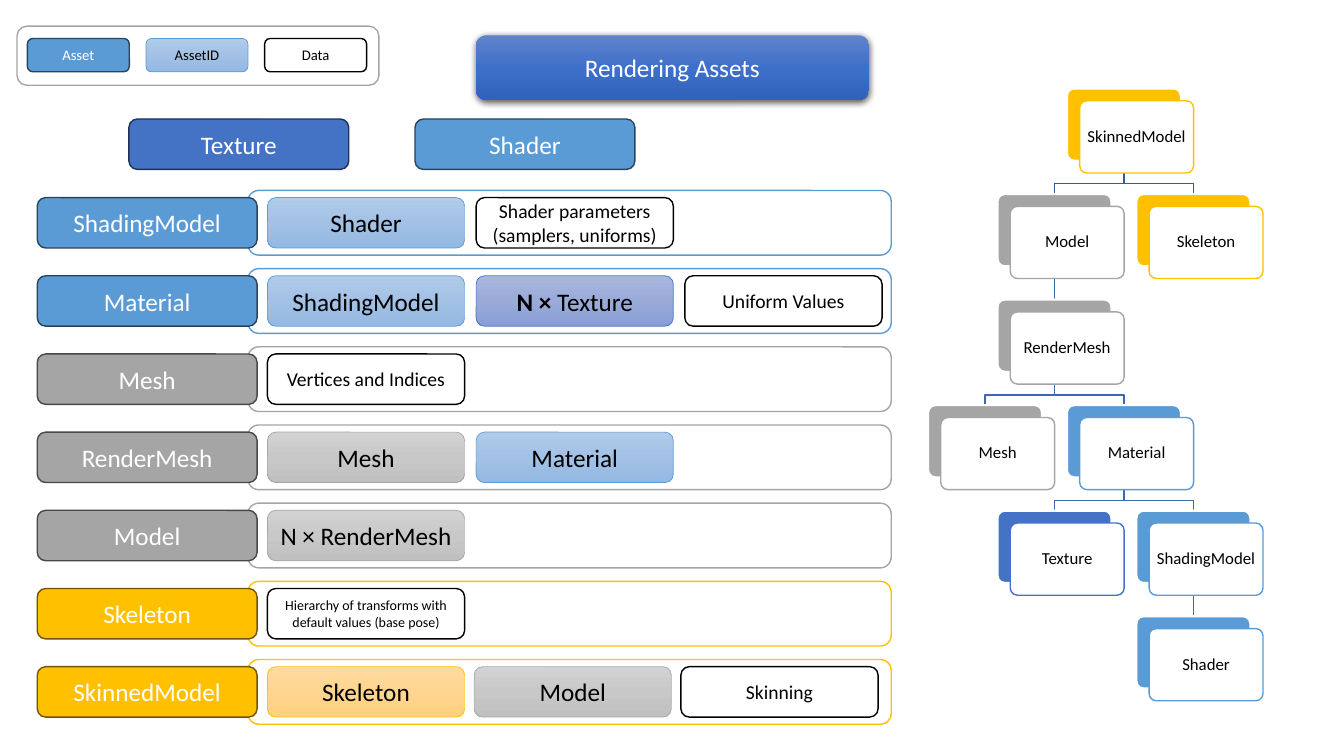
from copy import deepcopy
from dataclasses import dataclass
from typing import Any

from lxml.etree import SubElement
from pptx import Presentation
from pptx.dml.color import RGBColor
from pptx.enum.shapes import MSO_SHAPE as Preset
from pptx.enum.text import MSO_ANCHOR as Anchor
from pptx.enum.text import MSO_AUTO_SIZE as AutoSize
from pptx.enum.text import PP_ALIGN as Align
from pptx.oxml.ns import qn
from pptx.util import Cm, Pt

COLORS = {
    "white": "FFFFFF", "black": "000000",
    "blue": "5B9BD5", "blue_edge": "28445D",
    "gray": "A5A5A5", "gray_edge": "484848",
    "gold": "FFC000", "gold_edge": "705400",
    "navy": "4472C4", "navy_edge": "1E3256",
    "branch": "3E67B2", "root_branch": "365B9D",
}
GRADIENTS = {
    "blue": ("B1CBE9", "A3C1E5", "93B9E4"),
    "gray": ("D2D2D2", "C8C8C8", "C0C0C0"),
    "gold": ("FFDB9E", "FFD590", "FFD07C"),
    "navy": ("A8B7DF", "9AABD9", "889ED7"),
    "title": ("6183CB", "3E70CA", "3062BB"),
}


@dataclass(frozen=True)
class Box:
    left: float
    top: float
    width: float
    height: float


@dataclass(frozen=True)
class Card:
    kind: str
    text: str
    color: str = "black"
    size: float = 18
    bold_prefix: str = ""


@dataclass(frozen=True)
class AssetRow:
    name: str
    color: str
    cells: tuple[Card, ...]
    pitch: float = 5.26


@dataclass(frozen=True)
class Node:
    name: str
    color: str
    column: int
    level: int
    parent: str = ""


ROWS = (
    AssetRow("ShadingModel", "blue", (
        Card("id", "Shader", "blue"),
        Card("data", "Shader parameters (samplers, uniforms)", size=14))),
    AssetRow("Material", "blue", (
        Card("id", "ShadingModel", "blue"),
        Card("id", "Texture", "navy", bold_prefix="N × "),
        Card("data", "Uniform Values", size=14))),
    AssetRow("Mesh", "gray", (Card("data", "Vertices and Indices", size=14),)),
    AssetRow("RenderMesh", "gray", (
        Card("id", "Mesh", "gray"), Card("id", "Material", "blue"))),
    AssetRow("Model", "gray", (Card("id", "N × RenderMesh", "gray"),)),
    AssetRow("Skeleton", "gold", (
        Card("data", "Hierarchy of transforms with default values (base pose)", size=10),)),
    AssetRow("SkinnedModel", "gold", (
        Card("id", "Skeleton", "gold"), Card("id", "Model", "gray"),
        Card("data", "Skinning", size=14)), pitch=5.21),
)
NODES = (
    Node("SkinnedModel", "gold", 2, 0),
    Node("Model", "gray", 1, 1, "SkinnedModel"),
    Node("RenderMesh", "gray", 1, 2, "Model"),
    Node("Mesh", "gray", 0, 3, "RenderMesh"),
    Node("Material", "blue", 2, 3, "RenderMesh"),
    Node("Texture", "navy", 1, 4, "Material"),
    Node("ShadingModel", "blue", 3, 4, "Material"),
    Node("Shader", "blue", 3, 5, "ShadingModel"),
    Node("Skeleton", "gold", 3, 1, "SkinnedModel"),
)
LEGEND = (
    Card("asset", "Asset", "blue", 10.5),
    Card("id", "AssetID", "blue", 10.5),
    Card("data", "Data", size=10.5),
)


def rgb(name: str) -> RGBColor:
    return RGBColor.from_string(COLORS[name])


def apply(target: Any, values: dict[str, Any]) -> None:
    for name, value in values.items():
        setattr(target, name, value)


def place(shape: Any, box: Box) -> None:
    apply(shape, {"left": Cm(box.left), "top": Cm(box.top),
                  "width": Cm(box.width), "height": Cm(box.height)})


def fill_gradient(shape: Any, name: str) -> None:
    shape.fill.gradient()
    shape.fill.gradient_angle = 270
    stop_list = shape._element.spPr.find(f".//{qn('a:gsLst')}")
    stop_list.append(deepcopy(stop_list[0]))
    for index, stop in enumerate(shape.fill.gradient_stops):
        stop.position = index / 2
        stop.color.rgb = RGBColor.from_string(GRADIENTS[name][index])


def draw_box(slide: Any, box: Box, fill: str, line: str = "", width: float = 1,
             gradient: bool = False) -> Any:
    shape = slide.shapes.add_shape(Preset.ROUNDED_RECTANGLE, 0, 0, 0, 0)
    place(shape, box)
    shape.shadow.inherit = False
    if gradient:
        fill_gradient(shape, fill)
    else:
        shape.fill.solid()
        shape.fill.fore_color.rgb = rgb(fill)
    if line:
        shape.line.color.rgb = rgb(line)
        shape.line.width = Pt(width)
    else:
        shape.line.fill.background()
    return shape


def write(shape: Any, text: str, size: float, color: str, bold_prefix: str = "") -> None:
    apply(shape.text_frame, {"word_wrap": True, "auto_size": AutoSize.NONE,
                             "vertical_anchor": Anchor.MIDDLE})
    paragraph = shape.text_frame.paragraphs[0]
    paragraph.alignment = Align.CENTER
    for part, bold in ((bold_prefix, True), (text, False)):
        if part:
            run = paragraph.add_run()
            run.text = part
            apply(run.font, {"name": "Calibri", "size": Pt(size), "bold": bold})
            run.font.color.rgb = rgb(color)


def draw_card(slide: Any, card: Card, box: Box) -> None:
    if card.kind == "asset":
        shape = draw_box(slide, box, card.color, f"{card.color}_edge")
    elif card.kind == "id":
        shape = draw_box(slide, box, card.color, card.color, 0.5, gradient=True)
    else:
        shape = draw_box(slide, box, "white", "black")
    ink = "white" if card.kind == "asset" else "black"
    write(shape, card.text, card.size, ink, card.bold_prefix)


def draw_title(slide: Any) -> None:
    box = Box(11.99, 0.89, 9.91, 1.63)
    banner = draw_box(slide, box, "title", gradient=True)
    effects = banner._element.spPr.find(qn("a:effectLst"))
    shadow = SubElement(effects, qn("a:outerShdw"), blurRad=str(Pt(4.5)),
                        dist=str(Pt(1.5)), dir="5400000", algn="ctr", rotWithShape="0")
    shadow_color = SubElement(shadow, qn("a:srgbClr"), val=COLORS["black"])
    SubElement(shadow_color, qn("a:alpha"), val="63000")
    title = slide.shapes.title
    place(title, box)
    write(title, "Rendering Assets", 18, "white")
    banner._element.addnext(title._element)


def draw_row(slide: Any, row: AssetRow, top: float) -> None:
    draw_box(slide, Box(6.25, top, 16.21, 1.63), "white", row.color)
    for index, cell in enumerate(row.cells):
        draw_card(slide, cell, Box(6.74 + index * row.pitch, top + 0.18, 4.97, 1.27))
    draw_card(slide, Card("asset", row.name, row.color), Box(0.94, top + 0.18, 5.54, 1.27))


def node_box(node: Node) -> Box:
    return Box(23.39 + node.column * 1.75, 2.23 + node.level * 2.66, 2.87, 1.82)


def draw_branch(slide: Any, parent: Node, child: Node) -> None:
    start, end = node_box(parent), node_box(child)
    start_x, end_x = start.left + start.width / 2, end.left + end.width / 2
    bend = end.top - 0.26
    points = [(start_x, bend), (end_x, bend), (end_x, end.top)]
    builder = slide.shapes.build_freeform(Cm(start_x), Cm(start.top + start.height))
    builder.add_line_segments([(Cm(x), Cm(y)) for x, y in points], close=False)
    branch = builder.convert_to_shape()
    branch.shadow.inherit = False
    branch.fill.background()
    branch.line.color.rgb = rgb("branch" if parent.parent else "root_branch")
    branch.line.width = Pt(1)


def draw_node(slide: Any, node: Node) -> None:
    box = node_box(node)
    back = draw_box(slide, box, node.color, "white", 1.5)
    front = draw_box(slide, Box(box.left + 0.32, box.top + 0.31, box.width, box.height),
                     "white", node.color)
    for shape in (back, front):
        shape.adjustments[0] = 0.1
    sides = ("left", "right", "top", "bottom")
    apply(front.text_frame, {f"margin_{side}": Cm(0.03) for side in sides})
    front.text_frame.paragraphs[0].line_spacing = 0.9
    write(front, node.name, 12, "black")


def main() -> None:
    presentation = Presentation()
    apply(presentation, {"slide_width": Cm(33.87), "slide_height": Cm(19.05)})
    slide = presentation.slides.add_slide(presentation.slide_layouts[5])
    draw_title(slide)
    draw_box(slide, Box(0.43, 0.66, 9.12, 1.49), "white", "gray")
    for index, card in enumerate(LEGEND):
        draw_card(slide, card, Box(0.69 + index * 2.99, 0.97, 2.57, 0.84))
    for name, color, left in (("Texture", "navy", 3.25), ("Shader", "blue", 10.46)):
        draw_card(slide, Card("asset", name, color), Box(left, 3, 5.54, 1.27))
    for index, row in enumerate(ROWS):
        draw_row(slide, row, 4.8 + index * 1.97)
    nodes_by_name = {node.name: node for node in NODES}
    for node in NODES:
        if node.parent:
            draw_branch(slide, nodes_by_name[node.parent], node)
    for node in NODES:
        draw_node(slide, node)
    presentation.save("out.pptx")


if __name__ == "__main__":
    main()
